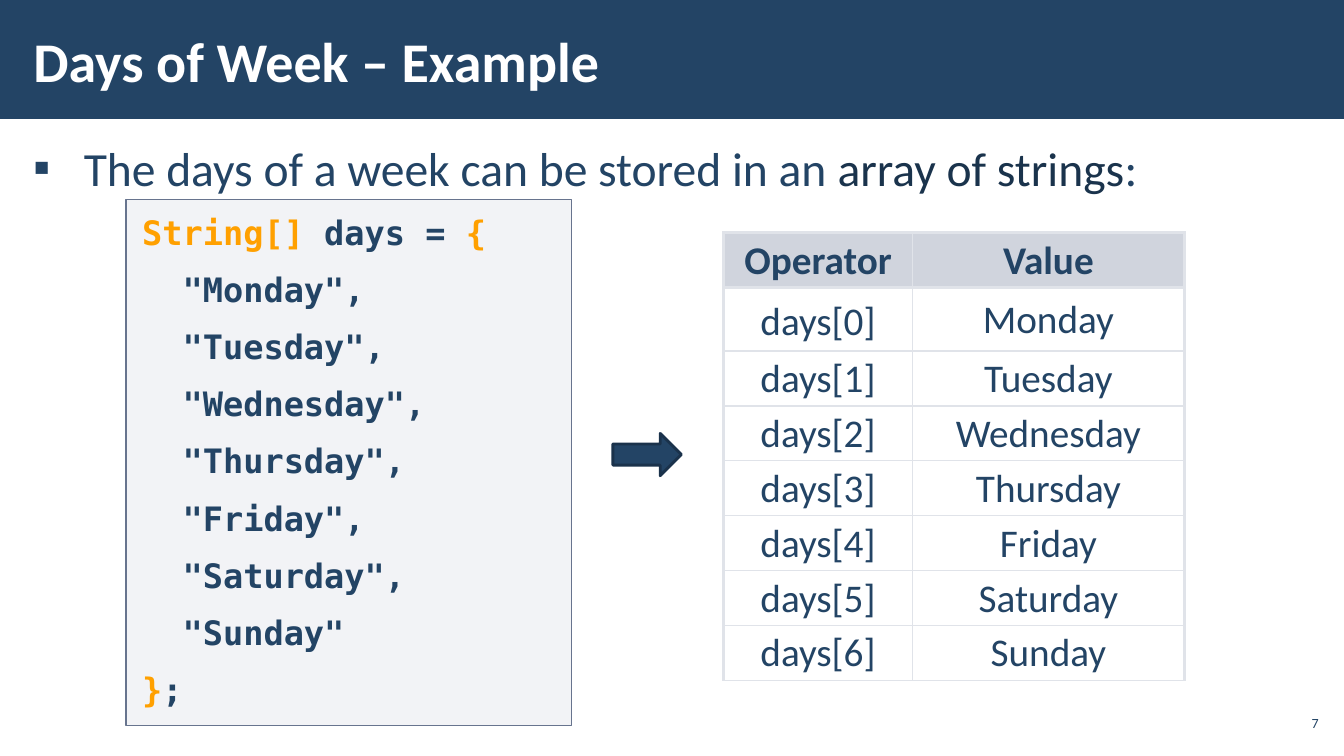
from lxml.etree import SubElement as Sub
from pptx import Presentation
from pptx.dml.color import RGBColor as Rgb
from pptx.enum.shapes import MSO_SHAPE as Kind
from pptx.enum.text import MSO_ANCHOR as Anchor, MSO_AUTO_SIZE as Fit, PP_ALIGN as Align
from pptx.oxml.ns import qn
from pptx.util import Inches, Pt

HUES = {"navy": "234465", "deep": "1A334C", "edge": "1A324B", "white": "FFFFFF",
        "gold": "FFA000", "pale": "ADB4C3", "slate": "67748E",
        "head": "A3ABBC", "rule": "E0E3E9"}
SANS, MONO = "Calibri", "DejaVu Sans Mono"
DAYS = ["Monday", "Tuesday", "Wednesday", "Thursday", "Friday", "Saturday", "Sunday"]


def hue(name):
    return Rgb.from_string(HUES[name])


class Page:
    """Holds the slide and its style; places are percent of the slide's size."""

    def __init__(self, deck):
        self.wide, self.high = deck.slide_width, deck.slide_height
        self.slide = deck.slides.add_slide(deck.slide_layouts[1])
        self.shapes = self.slide.shapes

    def x(self, part):
        return round(self.wide * part / 100)

    def y(self, part):
        return round(self.high * part / 100)

    def spot(self, left, top, wide, high):
        return self.x(left), self.y(top), self.x(wide), self.y(high)

    def place(self, item, spot):
        item.left, item.top, item.width, item.height = self.spot(*spot)

    def frame(self, item, pad=(0.12, 0.04), anchor=Anchor.TOP, fit=Fit.NONE):
        box = item.text_frame
        box.word_wrap, box.auto_size, box.vertical_anchor = True, fit, anchor
        box.margin_left = box.margin_right = Inches(pad[0])
        box.margin_top = box.margin_bottom = Inches(pad[1])
        return box

    def words(self, para, parts, size, font=SANS, bold=False, align=Align.LEFT):
        """Fill a paragraph with (text, colour) parts."""
        para.alignment = align
        for text, tint in parts:
            run = para.add_run()
            run.text = text
            run.font.name, run.font.size, run.font.bold = font, Pt(size), bold
            run.font.color.rgb = hue(tint)

    def paint(self, fill, tint, holder, alpha=None):
        fill.solid()
        fill.fore_color.rgb = hue(tint)
        if alpha:
            color = holder.find(qn("a:solidFill")).find(qn("a:srgbClr"))
            Sub(color, qn("a:alpha"), val=str(alpha * 1000))

    def shape(self, kind, spot, tint, alpha=None, line=None, weight=1):
        item = self.shapes.add_shape(kind, *self.spot(*spot))
        item.shadow.inherit = False
        self.paint(item.fill, tint, item.element.spPr, alpha)
        if line:
            item.line.color.rgb, item.line.width = hue(line), Pt(weight)
        else:
            item.line.fill.background()
        return item

    def band(self, spot, tint):
        item = self.shape(Kind.RECTANGLE, spot, tint)
        item.element.getparent().insert(2, item.element)

    def title(self, spot, text):
        item = self.shapes.title
        self.place(item, spot)
        box = self.frame(item, anchor=Anchor.MIDDLE)
        self.words(box.paragraphs[0], [(text, "white")], 40, bold=True)

    def bullet(self, spot, parts):
        item = self.slide.placeholders[1]
        self.place(item, spot)
        para = self.frame(item).paragraphs[0]
        self.words(para, parts, 34)
        para.line_spacing = 1.05
        para.space_before = para.space_after = Pt(6)
        props = para._p.get_or_add_pPr()
        props.set("marL", str(Inches(0.5)))
        props.set("indent", str(-Inches(0.5)))
        Sub(props, qn("a:buFont"), typeface=SANS)
        Sub(props, qn("a:buChar"), char="▪")

    def label(self, spot, text):
        box = self.frame(self.shapes.add_textbox(*self.spot(*spot)),
                         (0.04, 0.04), Anchor.MIDDLE)
        self.words(box.paragraphs[0], [(text, "navy")], 10, align=Align.RIGHT)

    def code(self, spot, lines):
        item = self.shape(Kind.RECTANGLE, spot, "pale", 15, "slate")
        box = self.frame(item, (0.16, 0.12), fit=Fit.SHAPE_TO_FIT_TEXT)
        for i, parts in enumerate(lines):
            para = box.add_paragraph() if i else box.paragraphs[0]
            self.words(para, parts, 24, MONO, True)
            para.space_before = para.space_after = Pt(6)

    def borders(self, cell, thick):
        """Rule the four sides; those named in thick are heavier."""
        props = cell._tc.get_or_add_tcPr()
        for i, side in enumerate("LRTB"):
            weight = Pt(2.25 if side in thick else 1)
            line = Sub(props, qn("a:ln" + side), w=str(weight))
            fill = Sub(line, qn("a:solidFill"))
            Sub(fill, qn("a:srgbClr"), val=HUES["rule"])
            props.insert(i, line)

    def table(self, left, top, cols, rows, data):
        spot = self.spot(left, top, sum(cols), sum(rows))
        grid = self.shapes.add_table(len(rows), len(cols), *spot).table
        grid.first_row = grid.horz_banding = False
        for col, wide in zip(grid.columns, cols):
            col.width = self.x(wide)
        for r, (high, texts) in enumerate(zip(rows, data)):
            grid.rows[r].height = self.y(high)
            for c, text in enumerate(texts):
                cell = grid.cell(r, c)
                cell.vertical_anchor = Anchor.MIDDLE
                cell.margin_left = cell.margin_right = Inches(0.16)
                cell.margin_top = cell.margin_bottom = Inches(0.05)
                para = cell.text_frame.paragraphs[0]
                self.words(para, [(text, "navy")], 28, bold=r == 0, align=Align.CENTER)
                para.line_spacing = Pt(38) if (r, c) == (1, 0) else 0.95
                if r == 0:
                    self.paint(cell.fill, "head", cell._tc.get_or_add_tcPr(), 50)
                else:
                    cell.fill.background()
                self.borders(cell, "LR"[c] + ("TB", "T", "")[min(r, 2)])


def main():
    deck = Presentation()
    deck.slide_width, deck.slide_height = Inches(13.33), Inches(7.5)
    page = Page(deck)

    # Heading and lead line
    page.band((0, -0.27, 100, 16), "navy")
    page.title((1.58, 1.47, 77.93, 12.93), "Days of Week – Example")
    page.bullet((1.58, 17.47, 96.83, 75.6),
                [("The days of a week can be stored in an ", "navy"),
                 ("array of strings", "deep"), (":", "navy")])
    page.label((94.88, 93.33, 3.53, 4.53), "7")

    # Code listing
    names = [f'  "{day}",' for day in DAYS]
    names[-1] = names[-1].rstrip(",")
    page.code((9.38, 26.4, 33.15, 69.6),
              [[("String[]", "gold"), (" days = ", "navy"), ("{", "gold")],
               *[[(name, "navy")] for name in names],
               [("}", "gold"), (";", "navy")]])

    # Arrow to the table of values
    page.shape(Kind.RIGHT_ARROW, (45.6, 57.33, 5.1, 5.6), "navy", line="edge", weight=2)
    cells = [(f"days[{i}]", day) for i, day in enumerate(DAYS)]
    page.table(53.85, 30.8, (14.03, 20.25), (7.26, 8.37, *[7.26] * 6),
               [("Operator", "Value"), *cells])

    deck.save("out.pptx")


if __name__ == "__main__":
    main()
